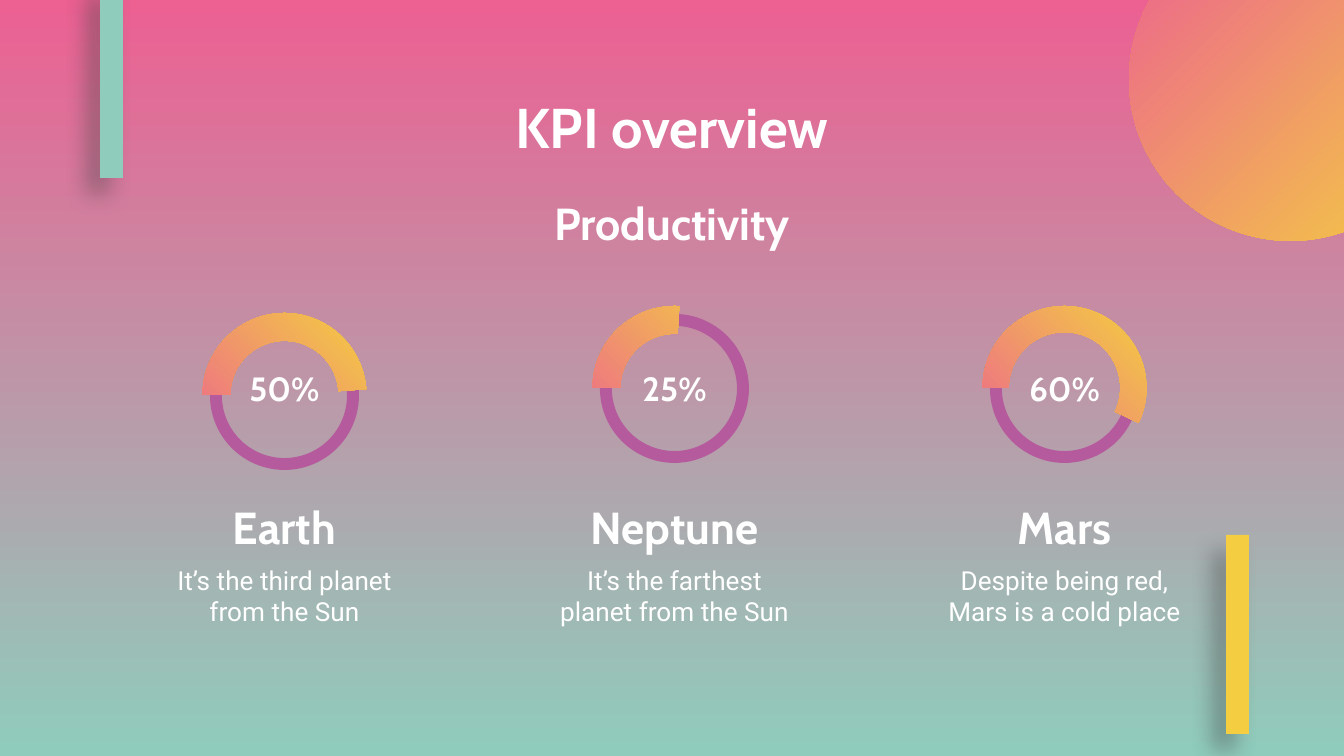
from lxml import etree
from pptx import Presentation
from pptx.dml.color import RGBColor
from pptx.enum.shapes import MSO_SHAPE as Preset
from pptx.enum.text import MSO_ANCHOR as Anchor, PP_ALIGN as Align
from pptx.oxml.ns import qn
from pptx.util import Emu, Pt

PX = 914400 / 134.4
COLORS = {
    "pink": "EC6092",
    "mint": "8FCCBC",
    "yellow": "F4CD41",
    "purple": "B65A9E",
    "white": "FFFFFF",
    "shadow": "434343",
}
FORMATS = {
    "title": {"name": "Cabin", "size": Pt(30), "bold": True},
    "heading": {"name": "Cabin", "size": Pt(24), "bold": True},
    "percent": {"name": "Cabin", "size": Pt(18), "bold": True},
    "body": {"name": "Roboto", "size": Pt(14), "bold": False},
}
KPIS = [
    ("50%", "Earth", "It’s the third planet from the Sun", (108, 213.6, 0.17), 7),
    ("25%", "Neptune", "It’s the farthest planet from the Sun", (108, 164.01, 0.17), 0),
    ("60%", "Mars", "Despite being red,\vMars is a cold place", (108, 15.17, 0.16), 0),
]


def px(length):
    """Turn pixels into EMU."""
    return Emu(round(length * PX))


def color(name):
    """Look up a named colour."""
    return RGBColor.from_string(COLORS[name])


def fill_gradient(fill, names, angle):
    """Apply a two-stop linear gradient at a clockwise angle."""
    fill.gradient()
    fill.gradient_angle = 360 - angle
    for stop, name in zip(fill.gradient_stops, names):
        stop.color.rgb = color(name)


def add_preset(slide, preset, box, fill=None, adjustments=()):
    """Add a borderless shape, with the warm gradient when no fill is named."""
    shape = slide.shapes.add_shape(preset, *map(px, box))
    shape.shadow.inherit = False
    shape.line.fill.background()
    if fill:
        shape.fill.solid()
        shape.fill.fore_color.rgb = color(fill)
    else:
        fill_gradient(shape.fill, ("yellow", "pink"), 135)
    for index, value in enumerate(adjustments):
        shape.adjustments[index] = value
    return shape


def add_text(slide, box, text, style, anchor=Anchor.TOP):
    """Add a centred white text box."""
    frame = slide.shapes.add_textbox(*map(px, box)).text_frame
    frame.word_wrap = True
    frame.vertical_anchor = anchor
    for side in ("left", "top", "right", "bottom"):
        setattr(frame, f"margin_{side}", Pt(7.2))
    paragraph = frame.paragraphs[0]
    paragraph.text = text
    paragraph.alignment = Align.CENTER
    for run in paragraph.runs:
        for key, value in FORMATS[style].items():
            setattr(run.font, key, value)
        run.font.color.rgb = color("white")


def add_bar(slide, box, fill):
    """Add a vertical bar casting a soft shadow to the lower left."""
    bar = add_preset(slide, Preset.RECTANGLE, box, fill)
    effects = bar._element.spPr.find(qn("a:effectLst"))
    shadow = etree.SubElement(
        effects, qn("a:outerShdw"), blurRad=str(Pt(12.4)), dist=str(Pt(11.2)),
        dir="7740000", algn="bl", rotWithShape="0")
    tint = etree.SubElement(shadow, qn("a:srgbClr"), val=COLORS["shadow"])
    etree.SubElement(tint, qn("a:alpha"), val="43000")


def add_decoration(slide):
    """Place the background, the two bars and the corner circle."""
    fill_gradient(slide.background.fill, ("pink", "mint"), 90)
    add_bar(slide, (100, -21, 23, 199), "mint")
    add_bar(slide, (1226, 535, 23, 199), "yellow")
    circle = add_preset(slide, Preset.OVAL, (1129, -82, 323, 323))
    circle.rotation = 90


def add_kpi(slide, box, kpi):
    """Place one progress ring with its percentage, name and description."""
    left, top, width = box
    percent, name, description, arc, drop = kpi
    center = left + width / 2
    ring, progress, label = 149, 164, 235
    add_preset(slide, Preset.DONUT,
               (center - ring / 2, top + drop + 8, ring, ring), "purple", (0.08,))
    add_preset(slide, Preset.BLOCK_ARC,
               (center - progress / 2, top + drop, progress, progress),
               adjustments=arc)
    add_text(slide, (center - label / 2, top + 51, label, 63),
             percent, "percent", Anchor.MIDDLE)
    add_text(slide, (left, top + 180, width, 55), name, "heading")
    add_text(slide, (left, top + 245, width, 102), description, "body")


def main():
    """Build and save the KPI overview slide."""
    presentation = Presentation()
    presentation.slide_width, presentation.slide_height = px(1344), px(756)
    slide = presentation.slides.add_slide(presentation.slide_layouts[6])
    add_decoration(slide)
    add_text(slide, (106, 79, 1132, 70), "KPI overview", "title")
    add_text(slide, (511, 198, 322, 50), "Productivity", "heading", Anchor.MIDDLE)
    for column, kpi in enumerate(KPIS):
        add_kpi(slide, (148 + 390 * column, 306, 273), kpi)
    presentation.save("out.pptx")


if __name__ == "__main__":
    main()
